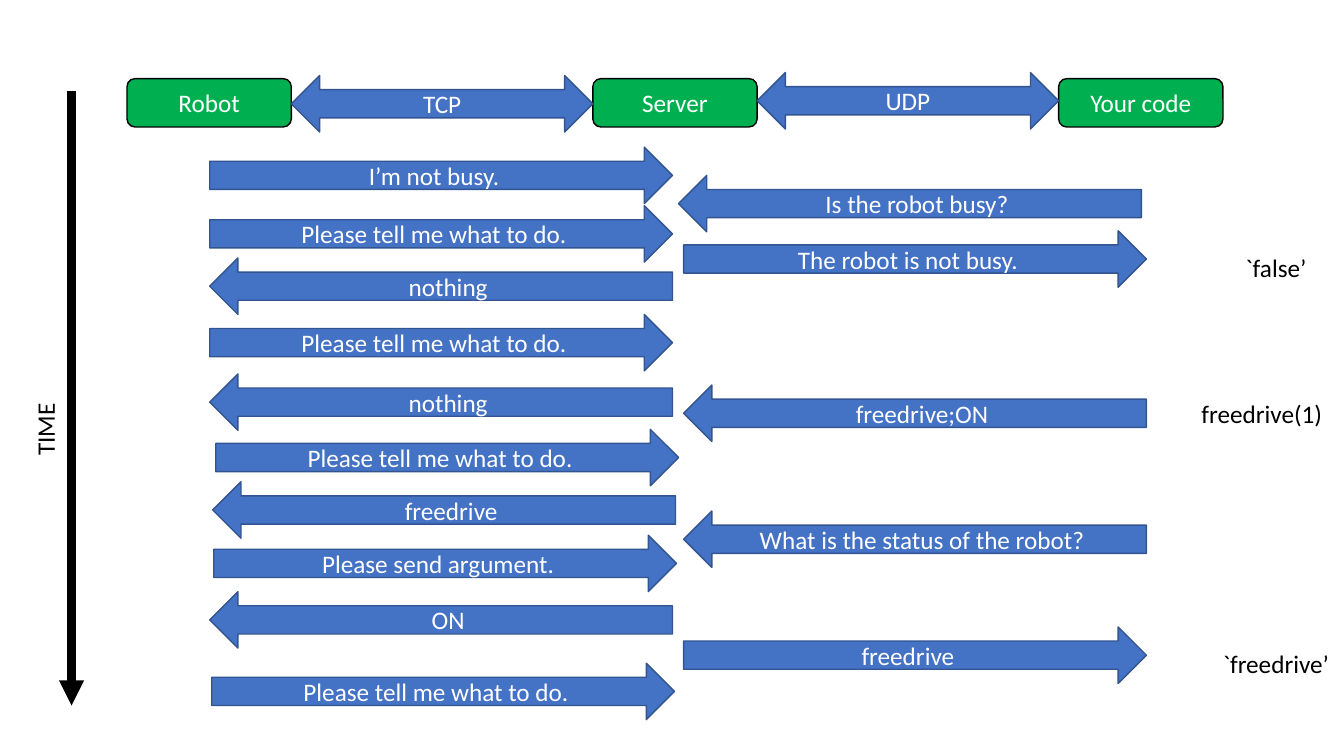
"""Draw a message sequence between a robot, a server and user code over time."""
import pptx
import pptx.util
import pptx.dml.color
import pptx.enum.shapes
import pptx.enum.text
import pptx.oxml
import pptx.oxml.ns

Inches, Pt = pptx.util.Inches, pptx.util.Pt
PRESET = pptx.enum.shapes.MSO_SHAPE
WHITE, BLACK, GREEN, BLUE, NAVY = "FFFFFF", "000000", "00B050", "4472C4", "325491"

deck = pptx.Presentation()
deck.slide_width, deck.slide_height = Inches(13.33), Inches(7.5)
slide = deck.slides.add_slide(deck.slide_layouts[6])


def color(hex_code):
    """Turn a hex string into a colour."""
    return pptx.dml.color.RGBColor.from_string(hex_code)


def place(words, left, top, width, height, preset=None, fill=BLUE, outline=NAVY):
    """Add a filled shape, or a plain label when no preset is given."""
    frame = [Inches(length) for length in (left, top, width, height)]
    if preset is None:
        item = slide.shapes.add_textbox(*frame)
    else:
        item = slide.shapes.add_shape(preset, *frame)
        item.shadow.inherit = False
        item.fill.solid()
        item.fill.fore_color.rgb = color(fill)
        item.line.color.rgb = color(outline)
        item.line.width = Pt(1)
        item.text_frame.vertical_anchor = pptx.enum.text.MSO_ANCHOR.MIDDLE
    item.text_frame.word_wrap = True
    paragraph = item.text_frame.paragraphs[0]
    paragraph.alignment = pptx.enum.text.PP_ALIGN.CENTER
    run = paragraph.add_run()
    run.text = words
    run.font.name, run.font.size = "Calibri", Pt(18)
    run.font.color.rgb = color(WHITE if preset is not None else BLACK)
    return item


first_party, party_pitch, party_width, party_top = 1.26, 4.62, 1.63, 0.78
arrow_height, message_width, label_height = 0.56, 4.59, 0.4

for column, party in enumerate(["Robot", "Server", "Your code"]):
    place(party, first_party + column * party_pitch, party_top, party_width, 0.48,
          PRESET.ROUNDED_RECTANGLE, GREEN, BLACK)

for column, (protocol, top) in enumerate([("TCP", 0.75), ("UDP", 0.72)]):
    place(protocol, first_party + party_width + column * party_pitch, top,
          party_pitch - party_width, arrow_height, PRESET.LEFT_RIGHT_ARROW)

lanes = {"robot": 2.08, "code": 6.78}
directions = {"to": PRESET.RIGHT_ARROW, "from": PRESET.LEFT_ARROW}
request = "Please tell me what to do."
messages = [
    ("robot", "to", 1.46, 0, "I’m not busy."),
    ("robot", "to", 2.04, 0, request),
    ("robot", "from", 2.56, 0, "nothing"),
    ("code", "from", 1.74, -0.05, "Is the robot busy?"),
    ("code", "to", 2.29, 0, "The robot is not busy."),
    ("robot", "to", 3.12, 0, request),
    ("robot", "from", 3.71, 0, "nothing"),
    ("code", "from", 3.82, 0, "freedrive;ON"),
    ("robot", "to", 4.26, 0.06, request),
    ("robot", "from", 4.78, 0.03, "freedrive"),
    ("robot", "to", 5.31, 0.04, "Please send argument."),
    ("robot", "from", 5.87, 0, "ON"),
    ("code", "from", 5.07, 0, "What is the status of the robot?"),
    ("code", "to", 6.22, 0, "freedrive"),
    ("robot", "to", 6.58, 0.02, request),
]
for lane, direction, top, nudge, words in messages:
    place(words, lanes[lane] + nudge, top, message_width, arrow_height, directions[direction])

for words, top, width in [("`false’", 2.45, 1.35), ("freedrive(1)", 3.9, 1.63),
                          ("`freedrive’", 6.38, 1.35)]:
    place(words, 13.33 - width, top, width, label_height)

place("TIME", -0.23, 4.06, 1.35, label_height).rotation = 270

time_axis = slide.shapes.add_connector(pptx.enum.shapes.MSO_CONNECTOR.STRAIGHT,
                                       Inches(0.71), Inches(0.9), Inches(0.71), Inches(7))
time_axis.line.color.rgb = color(BLACK)
time_axis.line.width = Pt(6)
arrowhead = pptx.oxml.parse_xml(f'<a:tailEnd {pptx.oxml.ns.nsdecls("a")} type="triangle"/>')
time_axis.line._get_or_add_ln().append(arrowhead)
no_shadow = pptx.oxml.parse_xml(f'<a:effectLst {pptx.oxml.ns.nsdecls("a")}/>')
time_axis._element.spPr.append(no_shadow)

deck.save("out.pptx")
